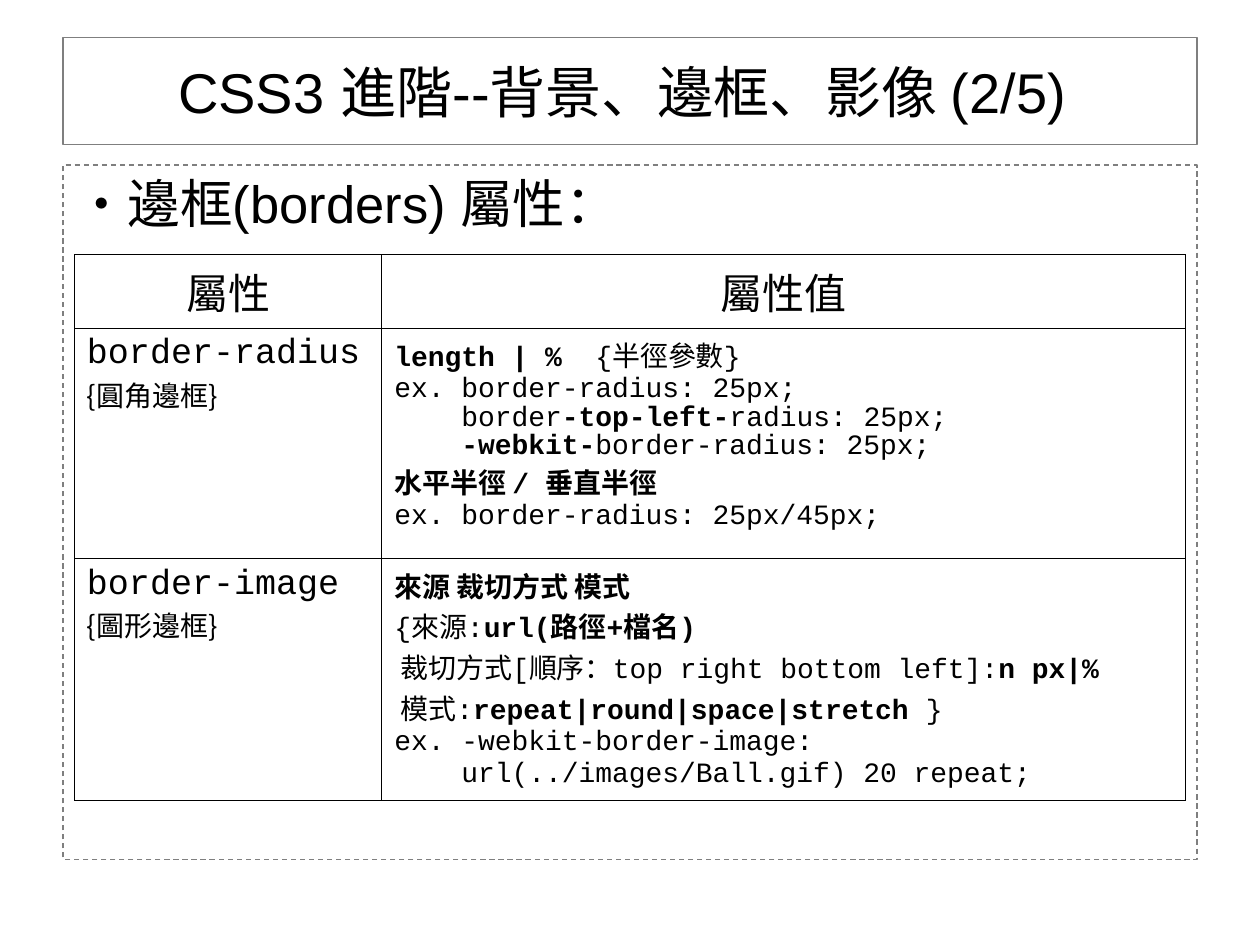
"""Build the slide on CSS3 border properties."""
from lxml import etree
from pptx import Presentation
from pptx import util as u
from pptx.dml.color import RGBColor
from pptx.enum import dml, shapes, text
from pptx.oxml import ns

CJK = "Noto Sans CJK TC"
CODE = "Courier New"
INCH = 2.54


def color(value):
    return RGBColor.from_string(value)


def write(para, words, size, font):
    for number, part in enumerate(words.split("**")):
        if not part:
            continue
        span = para.add_run()
        span.text = part
        span.font.size = u.Pt(size)
        span.font.name = font
        span.font.bold = number % 2 == 1
        span.font.color.rgb = color("000000")
        east = etree.SubElement(span.font._element, ns.qn("a:ea"))
        east.set("typeface", CJK)


deck = Presentation()
deck.slide_width = u.Cm(10 * INCH)
deck.slide_height = u.Cm(7.5 * INCH)
page = deck.slides.add_slide(deck.slide_layouts[6])

frames = [
    ("CSS3 進階--背景、邊框、影像 (2/5) ", 0.3, 0.85, 32, None,
     text.PP_ALIGN.CENTER, text.MSO_ANCHOR.MIDDLE),
    ("‧邊框(borders) 屬性：", 1.31, 5.51, 30, dml.MSO_LINE.DASH,
     text.PP_ALIGN.LEFT, text.MSO_ANCHOR.TOP),
]
for words, top, height, size, dash, align, anchor in frames:
    box = page.shapes.add_shape(
        shapes.MSO_SHAPE.RECTANGLE,
        u.Cm(0.5 * INCH), u.Cm(top * INCH), u.Cm(9 * INCH), u.Cm(height * INCH))
    box.shadow.inherit = False
    box.fill.background()
    box.line.color.rgb = color("7F7F7F")
    box.line.width = u.Pt(0.75)
    if dash:
        box.line.dash_style = dash
    box.text_frame.word_wrap = True
    box.text_frame.vertical_anchor = anchor
    para = box.text_frame.paragraphs[0]
    para.alignment = align
    write(para, words, size, "Arial")

heading = (24, "Arial", 1)
name = (20, CODE, 1)
label = (16, CJK, 1)
value = (16, CODE, 1)
tight = (16, CODE, 0.9)
rows = [
    [[("屬性", heading)], [("屬性值", heading)]],
    [
        [("border-radius", name), ("{圓角邊框}", label)],
        [
            ("**length | %  **{半徑參數}", value),
            ("ex. border-radius: 25px;", tight),
            ("    border**-top-left-**radius: 25px;", tight),
            ("    **-webkit-**border-radius: 25px;", tight),
            ("**水平半徑 / 垂直半徑**", value),
            ("ex. border-radius: 25px/45px;", value),
        ],
    ],
    [
        [("border-image", name), ("{圖形邊框}", label)],
        [
            ("**來源 裁切方式 模式**", value),
            ("{來源:**url(路徑+檔名)**", value),
            (" 裁切方式[順序：top right bottom left]:**n px|%**", value),
            (" 模式:**repeat|round|space|stretch **}", value),
            ("ex. -webkit-border-image:", value),
            ("    url(../images/Ball.gif) 20 repeat;", value),
        ],
    ],
]
widths = [2.44, 6.38]
heights = [0.58, 1.83, 1.92]

table = page.shapes.add_table(
    len(heights), len(widths), u.Cm(0.59 * INCH), u.Cm(2.02 * INCH),
    u.Cm(sum(widths) * INCH), u.Cm(sum(heights) * INCH)).table
table.first_row = False
table.horz_banding = False
for column, width in zip(table.columns, widths):
    column.width = u.Cm(width * INCH)
for row, height, contents in zip(table.rows, heights, rows):
    row.height = u.Cm(height * INCH)
    for cell, lines in zip(row.cells, contents):
        properties = cell._tc.get_or_add_tcPr()
        for side in ("lnL", "lnR", "lnT", "lnB"):
            border = etree.SubElement(properties, ns.qn(f"a:{side}"), w=str(u.Pt(0.45)))
            fill = etree.SubElement(border, ns.qn("a:solidFill"))
            etree.SubElement(fill, ns.qn("a:srgbClr"), val="000000")
        cell.fill.background()
        for number, (words, (size, font, spacing)) in enumerate(lines):
            frame = cell.text_frame
            para = frame.add_paragraph() if number else frame.paragraphs[0]
            para.line_spacing = float(spacing)
            if size == heading[0]:
                para.alignment = text.PP_ALIGN.CENTER
            write(para, words, size, font)

deck.save("out.pptx")
